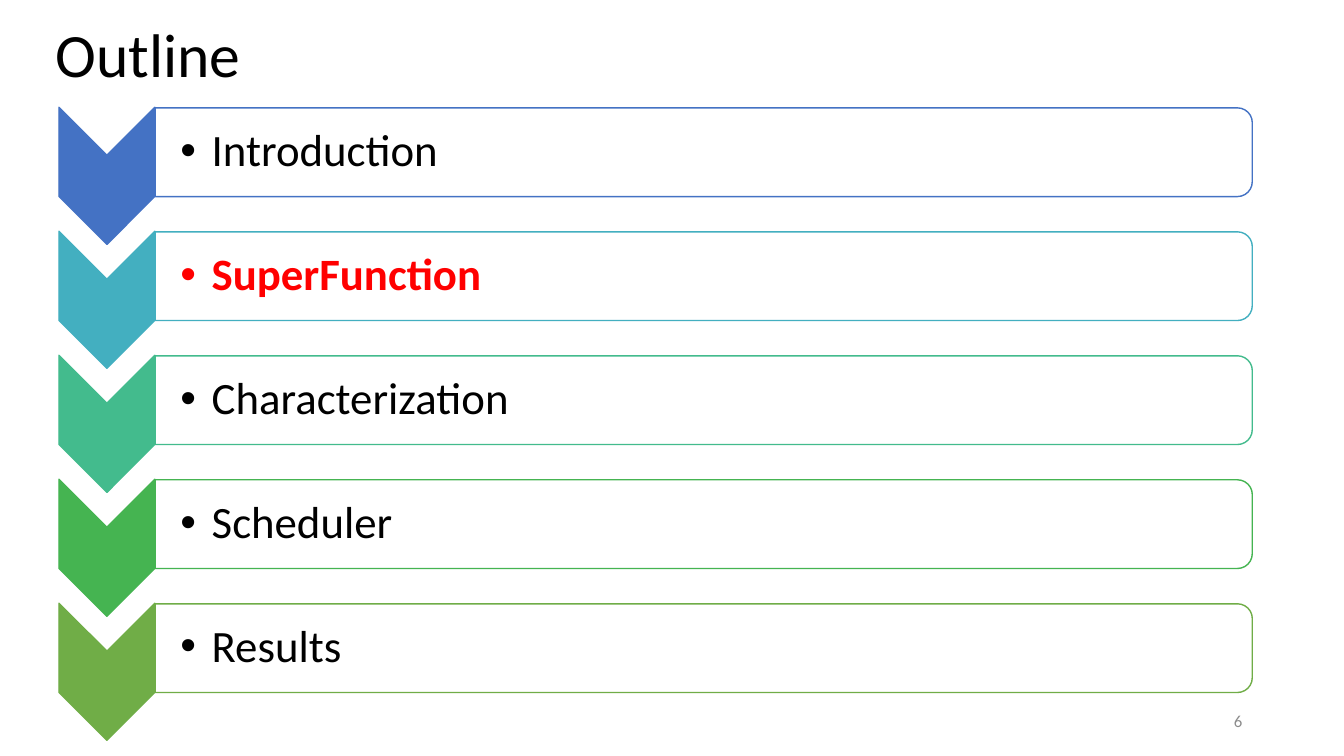
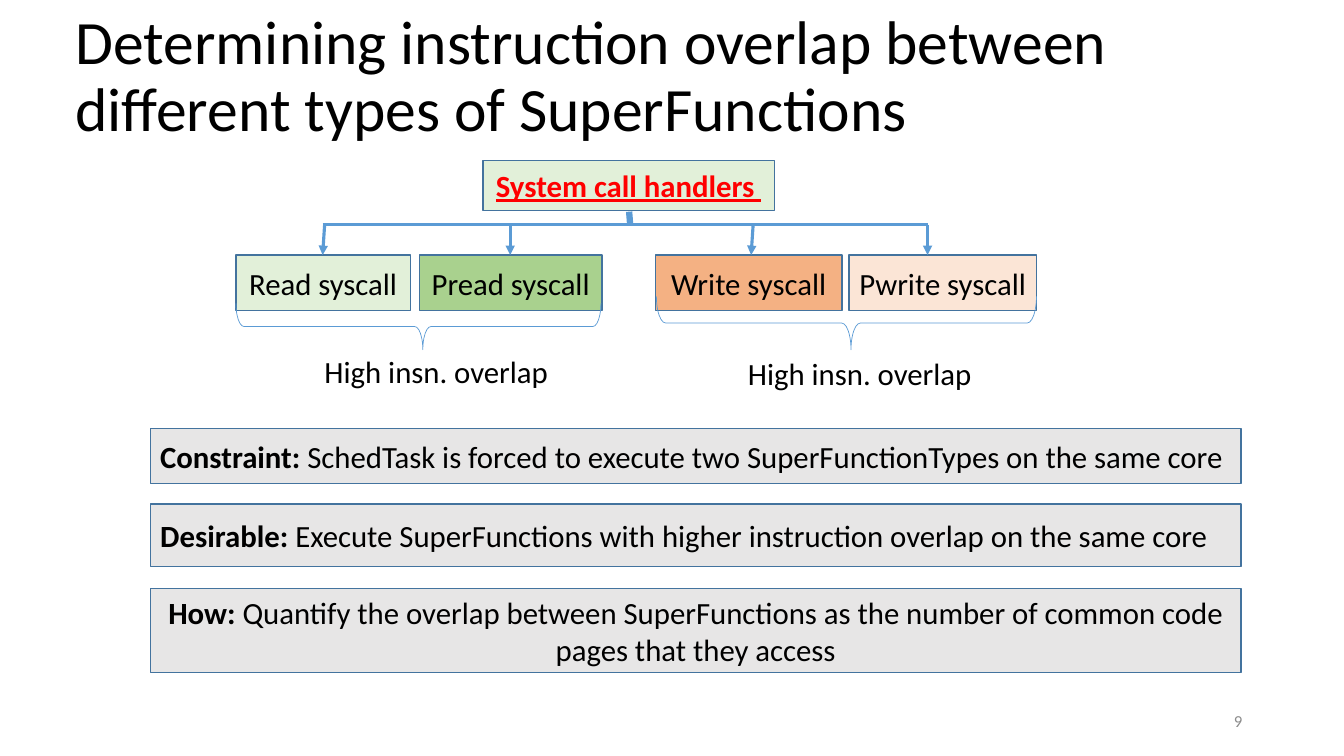
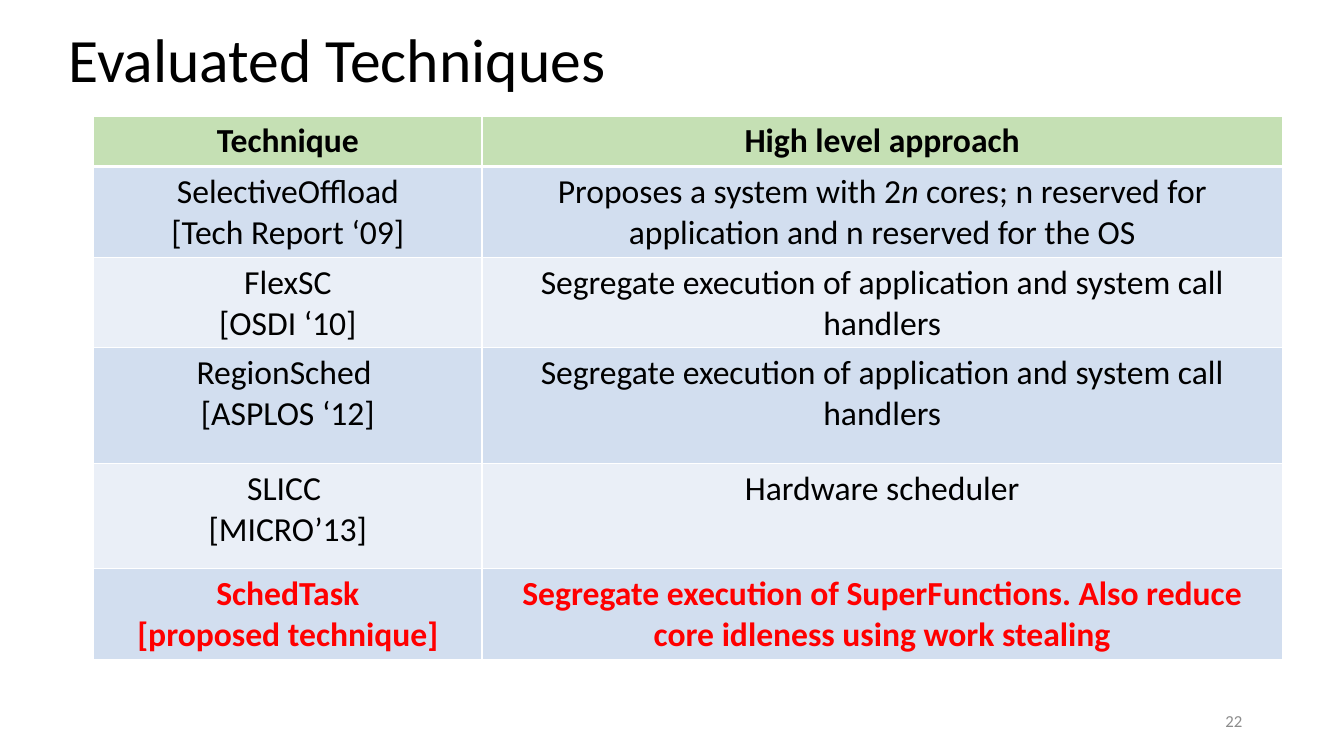
from lxml import etree
from pptx import Presentation
from pptx.dml.color import RGBColor
from pptx.enum.shapes import MSO_CONNECTOR, MSO_SHAPE
from pptx.enum.text import MSO_ANCHOR, PP_ALIGN
from pptx.oxml.ns import qn
from pptx.util import Inches, Pt

FONT = "Calibri"
BLACK = RGBColor(0x00, 0x00, 0x00)
WHITE = RGBColor(0xFF, 0xFF, 0xFF)
RED = RGBColor(0xFF, 0x00, 0x00)
NUMBER_GRAY = RGBColor(0x8C, 0x8C, 0x8C)
BOX_GRAY = RGBColor(0xE7, 0xE6, 0xE6)
BLUE = RGBColor(0x44, 0x72, 0xC4)
TEAL = RGBColor(0x43, 0xAF, 0xC0)
SEA_GREEN = RGBColor(0x43, 0xBB, 0x8D)
GREEN = RGBColor(0x45, 0xB4, 0x51)
OLIVE = RGBColor(0x70, 0xAD, 0x47)
LINE_BLUE = RGBColor(0x5B, 0x9B, 0xD5)
EDGE_BLUE = RGBColor(0x43, 0x73, 0x9E)
PALE_GREEN = RGBColor(0xE2, 0xF0, 0xD9)
MID_GREEN = RGBColor(0xA9, 0xD1, 0x8E)
HEADER_GREEN = RGBColor(0xC5, 0xE0, 0xB4)
ORANGE = RGBColor(0xF4, 0xB1, 0x83)
PALE_ORANGE = RGBColor(0xFB, 0xE5, 0xD6)
ROW_BLUE = RGBColor(0xD2, 0xDE, 0xEF)
ROW_PALE = RGBColor(0xEA, 0xEF, 0xF7)

LEFT, CENTER, RIGHT = PP_ALIGN.LEFT, PP_ALIGN.CENTER, PP_ALIGN.RIGHT
TOP, MIDDLE = MSO_ANCHOR.TOP, MSO_ANCHOR.MIDDLE
RECTANGLE = MSO_SHAPE.RECTANGLE
CHEVRON = MSO_SHAPE.CHEVRON
ROUND_TOP = MSO_SHAPE.ROUND_2_SAME_RECTANGLE
BRACE = MSO_SHAPE.RIGHT_BRACE
STRAIGHT = MSO_CONNECTOR.STRAIGHT


def add_bullet(para, indent):
    properties = para._p.get_or_add_pPr()
    properties.set("marL", str(Inches(indent)))
    properties.set("indent", str(-Inches(indent)))
    etree.SubElement(properties, qn("a:buFont"), typeface="Arial")
    etree.SubElement(properties, qn("a:buChar"), char="•")


def write_text(frame, paragraphs, size=22, color=BLACK, bold=False, underline=False,
               align=LEFT, spacing=None, bullet=None):
    for index, spans in enumerate(paragraphs):
        para = frame.paragraphs[0] if index == 0 else frame.add_paragraph()
        para.alignment = align
        if spacing:
            para.line_spacing = spacing
        if bullet:
            add_bullet(para, bullet)
        for item in [spans] if isinstance(spans, str) else spans:
            text, style = (item, {}) if isinstance(item, str) else item
            span = para.add_run()
            span.text = text
            font = span.font
            font.name, font.size = FONT, Pt(size)
            font.color.rgb = color
            font.bold = style.get("bold", bold)
            font.italic = style.get("italic", False)
            font.underline = underline


def add_text(page, place, text, anchor=MIDDLE, wrap=True, inset=0.1, **style):
    box = page.shapes.add_textbox(*map(Inches, place))
    frame = box.text_frame
    frame.word_wrap = wrap
    frame.vertical_anchor = anchor
    frame.margin_left = Inches(inset)
    write_text(frame, [text], **style)


def add_figure(page, kind, place, fill=None, line=EDGE_BLUE, width=1, rotation=0):
    shape = page.shapes.add_shape(kind, *map(Inches, place))
    shape.shadow.inherit = False
    shape.rotation = rotation
    if fill is None:
        shape.fill.background()
    else:
        shape.fill.solid()
        shape.fill.fore_color.rgb = fill
    shape.line.color.rgb = line
    shape.line.width = Pt(width)
    return shape


def add_box(page, place, spans, fill, inset=0.1, **style):
    frame = add_figure(page, RECTANGLE, place, fill).text_frame
    frame.word_wrap = True
    frame.vertical_anchor = MIDDLE
    frame.margin_left = frame.margin_right = Inches(inset)
    write_text(frame, [spans], **style)


def add_line(page, start, end, width=2.25, arrow=False):
    line = page.shapes.add_connector(STRAIGHT, *map(Inches, start + end))
    line.line.color.rgb = LINE_BLUE
    line.line.width = Pt(width)
    if arrow:
        etree.SubElement(line.line._get_or_add_ln(), qn("a:tailEnd"), type="triangle")
    etree.SubElement(line._element.spPr, qn("a:effectLst"))


def add_brace(page, place):
    brace = add_figure(page, BRACE, place, line=LINE_BLUE, width=0.5, rotation=90)
    brace.adjustments[0] = 0.175
    brace.adjustments[1] = 0.488


def add_borders(cell, top, bottom):
    properties = cell._tc.get_or_add_tcPr()
    for side, width in (("L", 1), ("R", 1), ("T", top), ("B", bottom)):
        border = etree.SubElement(properties, qn(f"a:ln{side}"), w=str(Pt(width)))
        fill = etree.SubElement(border, qn("a:solidFill"))
        etree.SubElement(fill, qn("a:srgbClr"), val=str(WHITE))


def add_page(deck, title, left, top, number):
    page = deck.slides.add_slide(deck.slide_layouts[6])
    add_text(page, (left, top, 11.5, 1.45), title, size=44, spacing=0.9)
    add_text(page, (9.42, 6.95, 3, 0.4), str(number), size=12, color=NUMBER_GRAY, align=RIGHT)
    return page


def build_outline(deck):
    page = add_page(deck, "Outline", 0.45, -0.15, 6)
    topics = [
        ("Introduction", BLUE),
        ("SuperFunction", TEAL),
        ("Characterization", SEA_GREEN),
        ("Scheduler", GREEN),
        ("Results", OLIVE),
    ]
    for index, (topic, color) in enumerate(topics):
        offset = 1.23 * index
        current = topic == "SuperFunction"
        add_figure(page, CHEVRON, (0.38, 1.27 + offset, 1.36, 0.95), color, color, rotation=90)
        add_figure(page, ROUND_TOP, (6.54, -3.93 + offset, 0.88, 10.88), WHITE, color, rotation=90)
        add_text(page, (1.54, 1.11 + offset, 10.84, 0.8), topic, inset=0.25, size=32,
                 color=RED if current else BLACK, bold=current, spacing=0.9, bullet=0.31)


def build_overlap(deck):
    title = "Determining instruction overlap between different types of SuperFunctions"
    page = add_page(deck, title, 0.65, 0.05, 9)

    add_box(page, (4.79, 1.59, 2.89, 0.5), "System call handlers ", PALE_GREEN,
            color=RED, bold=True, underline=True, align=CENTER)
    add_line(page, (6.24, 2.1), (6.25, 2.23), width=4.5)
    add_line(page, (3.2, 2.23), (9.2, 2.23))

    calls = [
        ("Read syscall", 2.34, 1.73, PALE_GREEN, 3.22, 3.2),
        ("Pread syscall", 4.16, 1.81, MID_GREEN, 5.06, 5.06),
        ("Write syscall", 6.5, 1.85, ORANGE, 7.47, 7.45),
        ("Pwrite syscall", 8.42, 1.86, PALE_ORANGE, 9.2, 9.2),
    ]
    for name, left, width, fill, start, end in calls:
        add_box(page, (left, 2.53, width, 0.55), name, fill, inset=0.05, align=CENTER)
        add_line(page, (start, 2.23), (end, 2.53), arrow=True)

    overlaps = [
        ((3.92, 1.43, 0.46, 3.62), 3.12, 3.45),
        ((8.13, 1.32, 0.53, 3.77), 7.32, 3.47),
    ]
    for brace, left, top in overlaps:
        add_brace(page, brace)
        add_text(page, (left, top, 2.44, 0.47), "High insn. overlap", anchor=TOP, wrap=False)

    statements = [
        ("Constraint:", "SchedTask is forced to execute two SuperFunctionTypes on the same core",
         4.25, 0.55, LEFT),
        ("Desirable:", "Execute SuperFunctions with higher instruction overlap on the same core",
         5, 0.62, LEFT),
        ("How:", "Quantify the overlap between SuperFunctions as the number of common code "
         "pages that they access", 5.84, 0.83, CENTER),
    ]
    for label, text, top, height, align in statements:
        spans = [(f"{label} ", {"bold": True}), text]
        add_box(page, (1.49, top, 10.82, height), spans, BOX_GRAY, align=align)


def build_techniques(deck):
    page = add_page(deck, "Evaluated Techniques", 0.58, -0.1, 22)
    segregate = "Segregate execution of application and system call handlers"
    proposal = ["Proposes a system with 2", ("n", {"italic": True}),
                " cores; n reserved for application and n reserved for the OS"]
    rows = [
        (0.48, ["Technique"], ["High level approach"]),
        (0.86, ["SelectiveOffload", "[Tech Report ‘09]"], [proposal]),
        (0.86, ["FlexSC", "[OSDI ‘10]"], [segregate]),
        (1.15, ["RegionSched ", "[ASPLOS ‘12]"], [segregate]),
        (1.04, ["SLICC ", "[MICRO’13]"], ["Hardware scheduler"]),
        (0.86, ["SchedTask", "[proposed technique]"],
         ["Segregate execution of SuperFunctions. Also reduce core idleness using work stealing"]),
    ]
    place = map(Inches, (0.93, 1.15, 11.79, 5.25))
    table = page.shapes.add_table(len(rows), 2, *place).table
    for column, width in zip(table.columns, (3.85, 7.94)):
        column.width = Inches(width)
    last = len(rows) - 1
    for index, (height, *texts) in enumerate(rows):
        table.rows[index].height = Inches(height)
        fill = HEADER_GREEN if index == 0 else ROW_BLUE if index % 2 else ROW_PALE
        for cell, paragraphs in zip(table.rows[index].cells, texts):
            add_borders(cell, top=3 if index == 1 else 1, bottom=3 if index == 0 else 1)
            cell.fill.solid()
            cell.fill.fore_color.rgb = fill
            write_text(cell.text_frame, paragraphs, size=24, align=CENTER,
                       color=RED if index == last else BLACK, bold=index in (0, last))


def main():
    deck = Presentation()
    deck.slide_width, deck.slide_height = Inches(13.33), Inches(7.5)
    build_outline(deck)
    build_overlap(deck)
    build_techniques(deck)
    deck.save("out.pptx")


if __name__ == "__main__":
    main()
